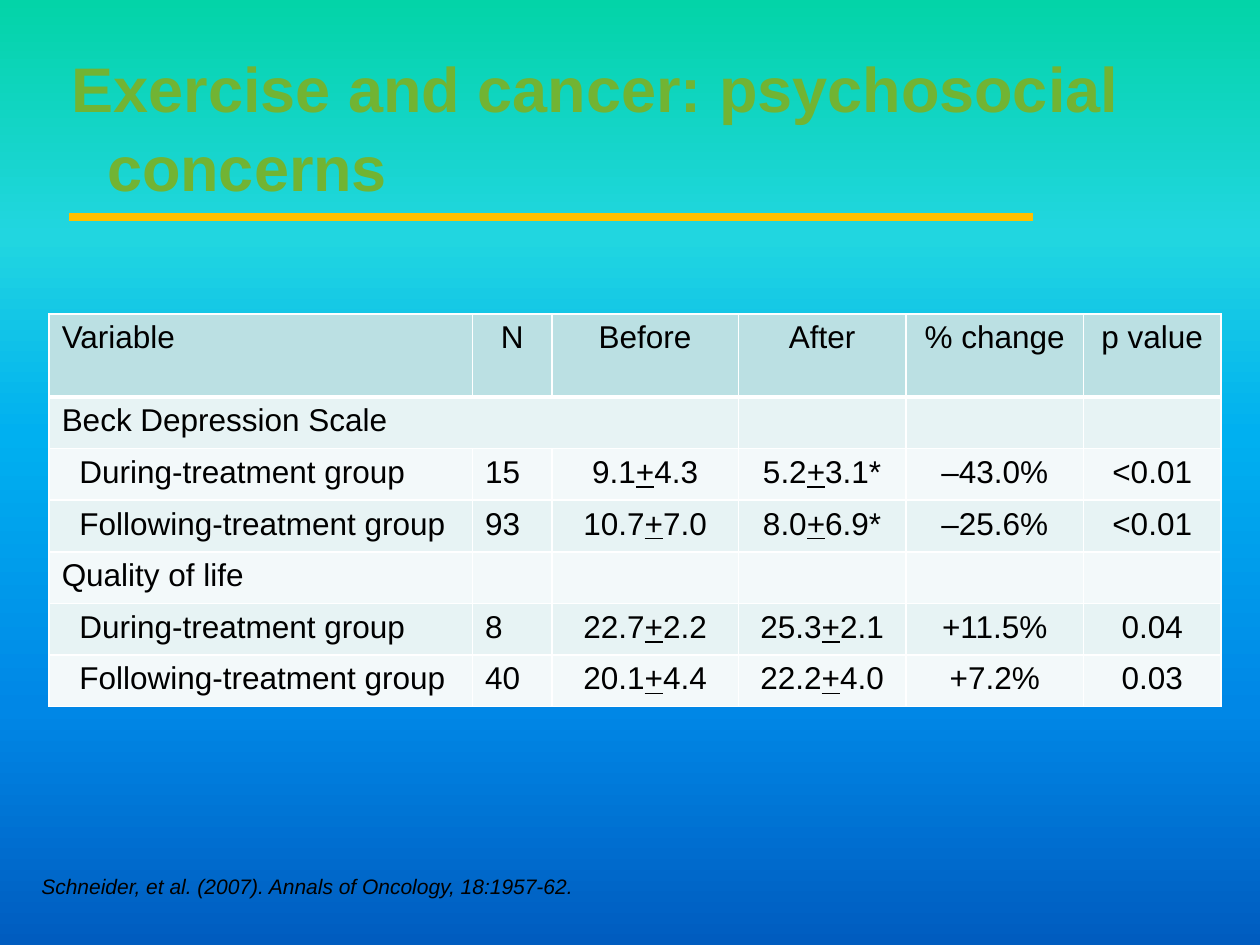
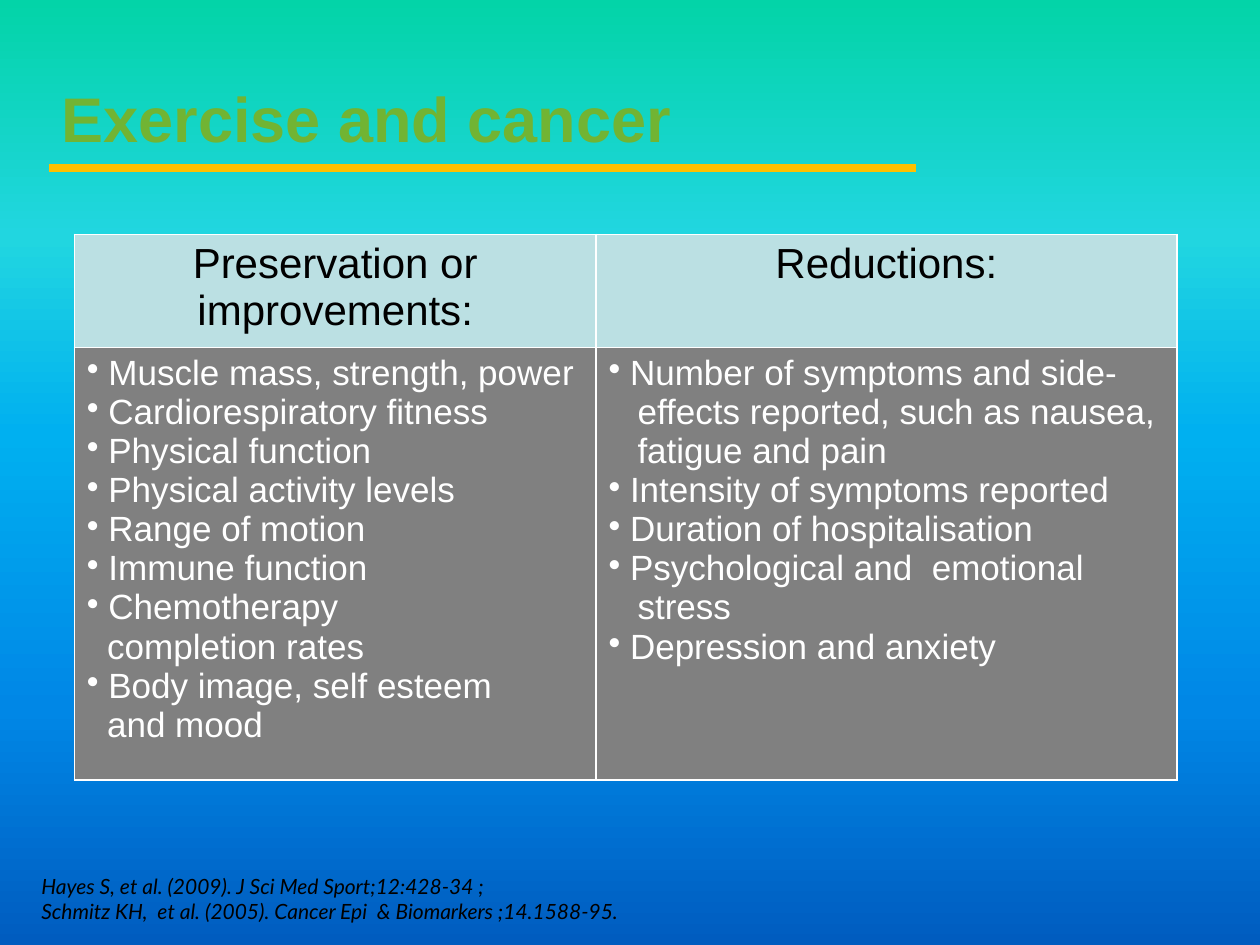
import copy
import dataclasses

import lxml.etree
import pptx
import pptx.dml.color
import pptx.enum.shapes
import pptx.enum.text
import pptx.oxml.ns
import pptx.util

Inches = pptx.util.Inches
Pt = pptx.util.Pt
qn = pptx.oxml.ns.qn
LEFT = pptx.enum.text.PP_ALIGN.LEFT
CENTER = pptx.enum.text.PP_ALIGN.CENTER


@dataclasses.dataclass(frozen=True)
class Theme:
    """Colours, fonts and type sizes shared by the slides."""

    backdrop: tuple = ((0, "03D4A8"), (25, "21D6E0"), (46, "00B0F0"), (75, "0087E6"), (100, "005CBF"))
    title: str = "71B433"
    rule: str = "FFC000"
    ink: str = "000000"
    light: str = "FFFFFF"
    header: str = "BBE0E3"
    bands: tuple = ("F3F9FA", "E7F3F4")
    panel: str = "808080"
    font: str = "Arial"
    alt_font: str = "Lato"
    title_size: int = 36
    heading_size: int = 24
    list_size: int = 20
    cell_size: int = 18
    source_size: int = 12


THEME = Theme()

OUTCOMES = [
    ("Variable", "N", "Before", "After", "% change", "p value"),
    ("Beck Depression Scale", "", "", "", "", ""),
    ("During-treatment group", "15", "9.1+4.3", "5.2+3.1*", "–43.0%", "<0.01"),
    ("Following-treatment group", "93", "10.7+7.0", "8.0+6.9*", "–25.6%", "<0.01"),
    ("Quality of life", "", "", "", "", ""),
    ("During-treatment group", "8", "22.7+2.2", "25.3+2.1", "+11.5%", "0.04"),
    ("Following-treatment group", "40", "20.1+4.4", "22.2+4.0", "+7.2%", "0.03"),
]

BENEFITS = [
    ("Preservation or improvements:", 0.16, [
        ["Muscle mass, strength, power"],
        ["Cardiorespiratory fitness"],
        ["Physical function"],
        ["Physical activity levels"],
        ["Range of motion"],
        ["Immune function"],
        ["Chemotherapy", "completion rates"],
        ["Body image, self esteem", "and mood"],
    ]),
    ("Reductions:", 0.23, [
        ["Number of symptoms and side-", "effects reported, such as nausea,", "fatigue and pain"],
        ["Intensity of symptoms reported"],
        ["Duration of hospitalisation"],
        ["Psychological and  emotional", "stress"],
        ["Depression and anxiety"],
    ]),
]


def rgb(value):
    """Return a colour from its hex code."""
    return pptx.dml.color.RGBColor.from_string(value)


def add_run(p, text, size, color=THEME.ink, font=THEME.font, **style):
    """Add one formatted run to a paragraph."""
    r = p.add_run()
    r.text = text
    r.font.size = Pt(size)
    r.font.name = font
    r.font.color.rgb = rgb(color)
    for name, value in style.items():
        setattr(r.font, name, value)


def next_paragraph(tf, first):
    """Return the opening paragraph or a new one."""
    return tf.paragraphs[0] if first else tf.add_paragraph()


def set_indent(p, margin, indent=0.0):
    """Set the left margin and first-line indent of a paragraph."""
    pPr = p._p.get_or_add_pPr()
    pPr.set("marL", str(Inches(margin)))
    pPr.set("indent", str(Inches(indent)))
    return pPr


def paint_backdrop(master):
    """Give the master its vertical gradient."""
    fill = master.background.fill
    fill.gradient()
    fill.gradient_angle = 270
    stops = next(master.element.iter(qn("a:gsLst")))
    pattern = copy.deepcopy(stops[0])
    for child in list(pattern):
        pattern.remove(child)
    for stop in list(stops):
        stops.remove(stop)
    for position, color in THEME.backdrop:
        stop = copy.deepcopy(pattern)
        stop.set("pos", str(position * 1000))
        lxml.etree.SubElement(stop, qn("a:srgbClr"), val=color)
        stops.append(stop)


def add_titled_slide(prs, lines, box, rule):
    """Add a slide with its title and the rule beneath it."""
    s = prs.slides.add_slide(prs.slide_layouts[5])
    sp = s.shapes.title
    sp.left, sp.top, sp.width, sp.height = map(Inches, box)
    tf = sp.text_frame
    tf.word_wrap = True
    tf.auto_size = pptx.enum.text.MSO_AUTO_SIZE.NONE
    tf.vertical_anchor = pptx.enum.text.MSO_ANCHOR.TOP
    p = tf.paragraphs[0]
    p.alignment = LEFT
    p.line_spacing = 1.05
    set_indent(p, 0.28, -0.28)
    for i, line in enumerate(lines):
        if i:
            p.add_line_break()
        add_run(p, line, THEME.title_size, THEME.title, bold=True)
    start, end, y = map(Inches, rule)
    line = s.shapes.add_connector(pptx.enum.shapes.MSO_CONNECTOR.STRAIGHT, start, y, end, y)
    line.line.color.rgb = rgb(THEME.rule)
    line.line.width = Pt(4.5)
    lxml.etree.SubElement(line._element.spPr, qn("a:effectLst"))
    return s


def add_source(s, lines, box, font=THEME.font):
    """Add the citation at the foot of a slide."""
    tf = s.shapes.add_textbox(*map(Inches, box)).text_frame
    tf.word_wrap = True
    for i, line in enumerate(lines):
        add_run(next_paragraph(tf, i == 0), line, THEME.source_size, font=font, italic=True)


def add_grid(s, left, top, widths, heights):
    """Add a plain table with the given columns and rows."""
    frame = s.shapes.add_table(len(heights), len(widths), Inches(left), Inches(top),
                               Inches(sum(widths)), Inches(sum(heights)))
    table = frame.table
    table.horz_banding = False
    for column, width in zip(table.columns, widths):
        column.width = Inches(width)
    for row, height in zip(table.rows, heights):
        row.height = Inches(height)
    return table


def style_cell(cell, color, top=1, bottom=1):
    """Fill a cell and draw its white borders."""
    tcPr = cell._tc.get_or_add_tcPr()
    for side, width in (("L", 1), ("R", 1), ("T", top), ("B", bottom)):
        ln = lxml.etree.SubElement(tcPr, qn("a:ln" + side), w=str(Pt(width)))
        fill = lxml.etree.SubElement(ln, qn("a:solidFill"))
        lxml.etree.SubElement(fill, qn("a:srgbClr"), val=THEME.light)
    cell.fill.solid()
    cell.fill.fore_color.rgb = rgb(color)


def add_measure(p, text):
    """Write a value, underlining a plus sign between two numbers."""
    mean, plus, deviation = text.partition("+")
    if mean and plus:
        add_run(p, mean, THEME.cell_size)
        add_run(p, plus, THEME.cell_size, underline=True)
        add_run(p, deviation, THEME.cell_size)
    elif text:
        add_run(p, text, THEME.cell_size)


def fill_outcomes(table):
    """Fill the table of psychosocial outcomes."""
    for i, row in enumerate(OUTCOMES):
        color = THEME.bands[i in (1, 3, 5)] if i else THEME.header
        for j, text in enumerate(row):
            cell = table.cell(i, j)
            style_cell(cell, color, top=3 if i == 1 else 1, bottom=1 if i else 3)
            p = cell.text_frame.paragraphs[0]
            p.alignment = CENTER if j > 1 or (j == 1 and i == 0) else LEFT
            add_measure(p, text)
        if i and row[1]:
            table.cell(i, 0).margin_left = Inches(0.24)
    table.cell(1, 0).merge(table.cell(1, 2))


def add_bullets(tf, items, hang):
    """Write bulleted items whose further lines are indented."""
    for i, (first, *others) in enumerate(items):
        p = next_paragraph(tf, i == 0)
        pPr = set_indent(p, 0.17, -0.17)
        lxml.etree.SubElement(pPr, qn("a:buChar"), char="•")
        add_run(p, first, THEME.list_size, THEME.light)
        for line in others:
            p = tf.add_paragraph()
            set_indent(p, hang)
            add_run(p, line, THEME.list_size, THEME.light)


def fill_benefits(table):
    """Fill the table of preserved and reduced factors."""
    for j, (heading, hang, items) in enumerate(BENEFITS):
        head, body = table.cell(0, j), table.cell(1, j)
        style_cell(head, THEME.header)
        style_cell(body, THEME.panel)
        p = head.text_frame.paragraphs[0]
        p.alignment = CENTER
        add_run(p, heading, THEME.heading_size)
        add_bullets(body.text_frame, items, hang)


def main():
    """Build both slides and save them."""
    prs = pptx.Presentation()
    prs.slide_width, prs.slide_height = Inches(10), Inches(7.5)
    paint_backdrop(prs.slide_master)

    s = add_titled_slide(prs, ["Exercise and cancer: psychosocial", "concerns"],
                         (0.47, 0.31, 9.22, 0.92), (0.55, 8.2, 1.72))
    fill_outcomes(add_grid(s, 0.39, 2.49, [3.36, 0.63, 1.48, 1.33, 1.41, 1.09], [0.66] + [0.41] * 6))
    add_source(s, ["Schneider, et al. (2007). Annals of Oncology, 18:1957-62."], (0.23, 6.88, 9.38, 0.3))

    s = add_titled_slide(prs, ["Exercise and cancer"], (0.39, 0.55, 9, 1.25), (0.39, 7.27, 1.33))
    fill_benefits(add_grid(s, 0.59, 1.86, [4.14, 4.61], [0.9, 3.43]))
    add_source(s, ["Hayes S, et al. (2009). J Sci Med Sport;12:428-34 ;",
                   "Schmitz KH,  et al. (2005). Cancer Epi  & Biomarkers ;14.1588-95."],
               (0.23, 6.88, 8.98, 0.51), THEME.alt_font)

    prs.save("out.pptx")


if __name__ == "__main__":
    main()
